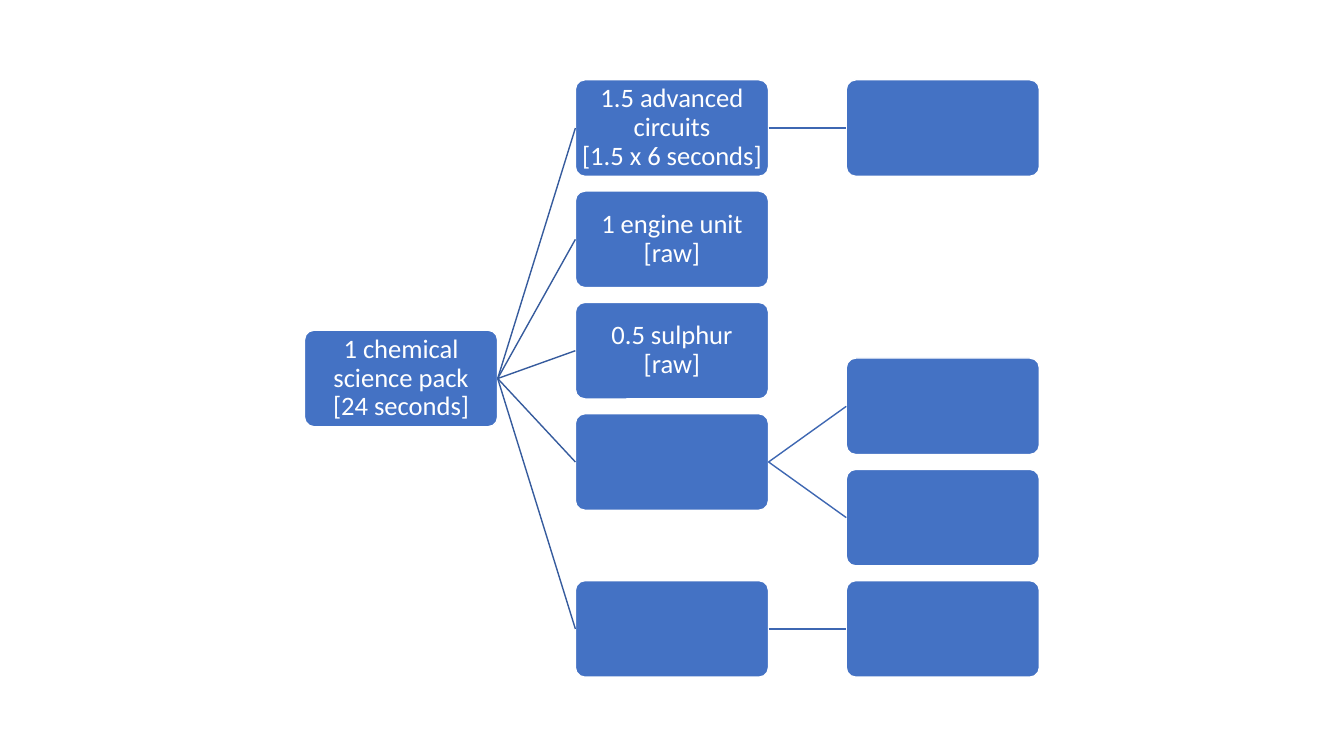
from pptx import Presentation
from pptx.dml.color import RGBColor
from pptx.enum.shapes import MSO_CONNECTOR, MSO_SHAPE
from pptx.enum.text import MSO_ANCHOR, PP_ALIGN
from pptx.oxml.ns import qn
from pptx.util import Emu, Pt
from lxml.etree import SubElement

PX = 9525  # EMU per px
COLORS = {"box": "4472C4", "white": "FFFFFF"}
LINK_COLORS = ["365B9D", "3E67B2"]  # by level of the parent
LEFT, TOP = 290, 76
COLUMN_STEP, HALF_ROW_STEP = 258, 53
BOX_WIDTH, BOX_HEIGHT = 184, 92
RIGHT_SIDE, LEFT_SIDE = 3, 1

# Each node: text, position in half rows, children
RECIPE = ("1 chemical science pack\v[24 seconds]", 4.5, [
    ("1.5 advanced circuits\v[1.5 x 6 seconds]", 0, [("", 0, [])]),
    ("1 engine unit\v[raw]", 2, []),
    ("0.5 sulphur\v[raw]", 4, []),
    ("", 6, [("", 5, []), ("", 7, [])]),
    ("", 9, [("", 9, [])]),
])


def px(value):
    return Emu(round(value * PX))


def color(value):
    return RGBColor.from_string(value)


def add_box(page, text, level, half_row):
    box = page.shapes.add_shape(
        MSO_SHAPE.ROUNDED_RECTANGLE,
        px(LEFT + level * COLUMN_STEP), px(TOP + half_row * HALF_ROW_STEP),
        px(BOX_WIDTH), px(BOX_HEIGHT))
    box.adjustments[0] = 0.1
    box.shadow.inherit = False
    box.fill.solid()
    box.fill.fore_color.rgb = color(COLORS["box"])
    box.line.color.rgb = color(COLORS["white"])
    box.line.width = Pt(1)
    if text:
        write_label(box.text_frame, text)
    return box


def write_label(frame, text):
    frame.word_wrap = True
    frame.vertical_anchor = MSO_ANCHOR.MIDDLE
    frame.margin_left = frame.margin_right = px(1)
    frame.margin_top = frame.margin_bottom = px(1)
    frame.text = text
    para = frame.paragraphs[0]
    para.alignment = PP_ALIGN.CENTER
    para.line_spacing = 0.9
    para.font.name = "Calibri"
    para.font.size = Pt(19)
    para.font.color.rgb = color(COLORS["white"])


def add_link(page, parent, child, level):
    link = page.shapes.add_connector(MSO_CONNECTOR.STRAIGHT, 0, 0, 0, 0)
    link.begin_connect(parent, RIGHT_SIDE)
    link.end_connect(child, LEFT_SIDE)
    link.line.color.rgb = color(LINK_COLORS[level])
    link.line.width = Pt(1)
    SubElement(link._element.spPr, qn("a:effectLst"))


def add_branch(page, node, level=0):
    text, half_row, children = node
    box = add_box(page, text, level, half_row)
    for child in children:
        add_link(page, box, add_branch(page, child, level + 1), level)
    return box


def main():
    deck = Presentation()
    deck.slide_width, deck.slide_height = px(1280), px(720)
    page = deck.slides.add_slide(deck.slide_layouts[6])  # blank layout
    add_branch(page, RECIPE)
    deck.save("out.pptx")


if __name__ == "__main__":
    main()
